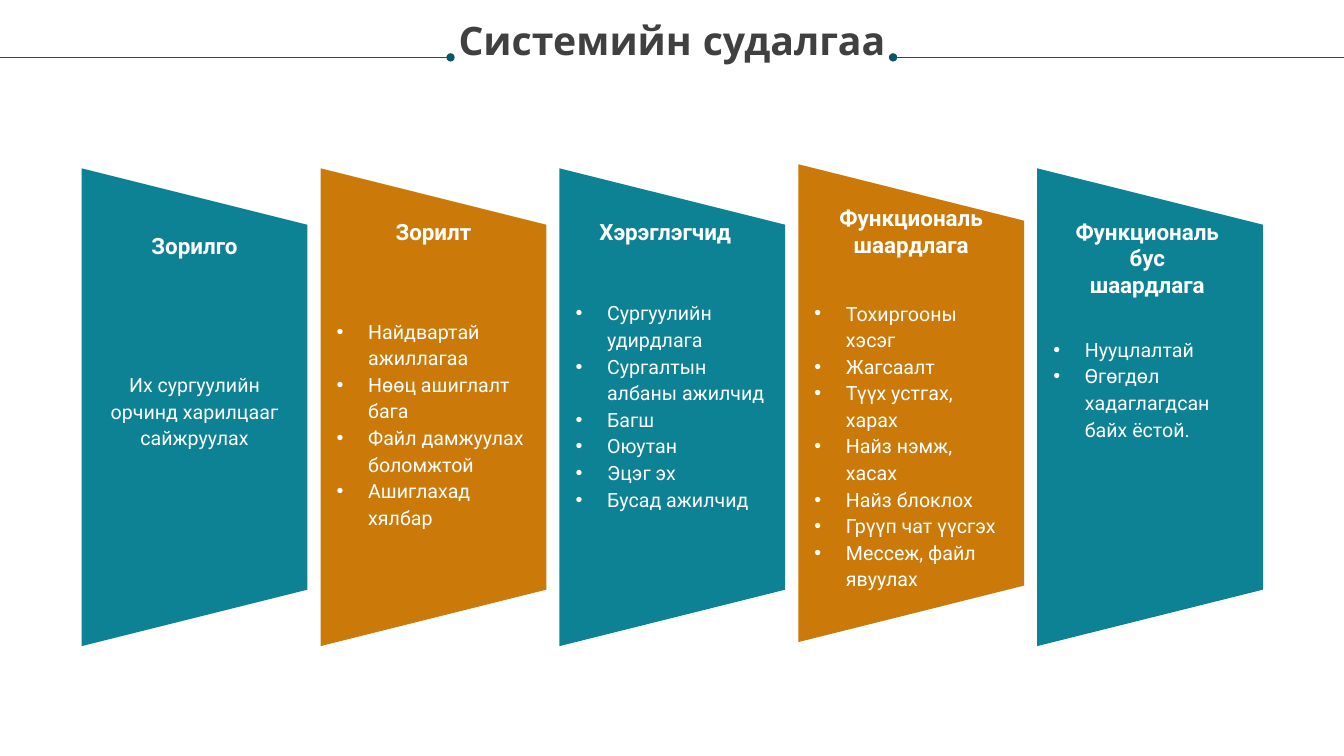
from lxml.etree import SubElement
from pptx import Presentation
from pptx.dml.color import RGBColor
from pptx.enum.shapes import MSO_CONNECTOR as Connector, MSO_SHAPE as Shape
from pptx.enum.text import MSO_ANCHOR as Anchor, MSO_AUTO_SIZE as AutoSize, PP_ALIGN as Align
from pptx.oxml.ns import qn
from pptx.util import Pt

TEAL, ORANGE, DARK_TEAL, WHITE, GREY = "0D8295", "CB7A09", "085764", "FFFFFF", "404040"
PANEL_LENGTH, PANEL_WIDTH, PITCH = 341.28, 161.28, 170.64
FIRST_CENTER = 138.96
HEADING_WIDTH, BODY_WIDTH, INDENT = 108, 138.24, 22.5


def color(hex_text):
    return RGBColor.from_string(hex_text)


def add_text(page, area, lines, font, hex_color, spacing=None, bullets=False):
    """Add a margin-free text box with one paragraph per line."""
    box = page.shapes.add_textbox(*[Pt(length) for length in area])
    frame = box.text_frame
    frame_format = {"word_wrap": True, "auto_size": AutoSize.SHAPE_TO_FIT_TEXT,
                    "vertical_anchor": Anchor.TOP, "margin_left": 0, "margin_right": 0,
                    "margin_top": 0, "margin_bottom": 0}
    for name, value in frame_format.items():
        setattr(frame, name, value)
    for number, line in enumerate(lines):
        para = frame.add_paragraph() if number else frame.paragraphs[0]
        para.alignment = Align.LEFT if bullets else Align.CENTER
        para.line_spacing = spacing
        if bullets:
            props = para._p.get_or_add_pPr()
            props.set("marL", str(Pt(INDENT)))
            props.set("indent", str(-Pt(INDENT)))
            SubElement(props, qn("a:buFont")).set("typeface", "Arial")
            SubElement(props, qn("a:buChar")).set("char", "•")
        span = para.add_run()
        span.text = line
        for name, value in font.items():
            setattr(span.font, name, value)
        span.font.color.rgb = color(hex_color)


deck = Presentation()
deck.slide_width, deck.slide_height = Pt(960), Pt(540)
page = deck.slides.add_slide(deck.slide_layouts[6])

# Title between two lines that run to the slide edges
for inner, edge in ((637.92, 960), (321.84, 0)):
    rule = page.shapes.add_connector(Connector.STRAIGHT, Pt(inner), Pt(41), Pt(edge), Pt(41))
    rule.line.color.rgb = color(DARK_TEAL)
    rule.line.width = Pt(0.5)
    SubElement(rule.line._get_or_add_ln(), qn("a:headEnd")).set("type", "oval")
    SubElement(rule._element.spPr, qn("a:effectLst"))

title_font = {"name": "Quicksand", "size": Pt(28), "bold": True}
add_text(page, (18, 15.12, 924, 61.2), ["Системийн судалгаа"], title_font, GREY, 0.9)

# Heading, heading shift, heading top, panel middle, body top, body height, body lines
columns = [
    ("Зорилго", 0, 165.6, 290.88, 264.24, 36.72,
     ["Их сургуулийн орчинд харилцааг сайжруулах"]),
    ("Зорилт", 0, 155.52, 290.88, 226.08, 132.48,
     ["Найдвартай ажиллагаа", "Нөөц ашиглалт бага", "Файл дамжуулах боломжтой",
      "Ашиглахад хялбар"]),
    ("Хэрэглэгчид", -5, 155.52, 290.88, 213.12, 151.92,
     ["Сургуулийн удирдлага", "Сургалтын албаны ажилчид", "Багш", "Оюутан", "Эцэг эх",
      "Бусад ажилчид"]),
    ("Функциональ шаардлага", 0, 146.16, 288, 213.12, 151.92,
     ["Тохиргооны хэсэг", "Жагсаалт", "Түүх устгах, харах", "Найз нэмж, хасах",
      "Найз блоклох", "Грүүп чат үүсгэх", "Мессеж, файл явуулах"]),
    ("Функциональ бус шаардлага", -2, 155.52, 290.88, 239.04, 74.88,
     ["Нууцлалтай", "Өгөгдөл хадаглагдсан байх ёстой."]),
]
heading_font = {"name": "Roboto", "size": Pt(16), "bold": True}
body_font = {"name": "Roboto", "size": Pt(14)}

for index, (heading, shift, heading_top, middle, body_top, body_height, lines) in enumerate(columns):
    center = FIRST_CENTER + index * PITCH
    panel = page.shapes.add_shape(
        Shape.TRAPEZOID, Pt(center - PANEL_LENGTH / 2), Pt(middle - PANEL_WIDTH / 2),
        Pt(PANEL_LENGTH), Pt(PANEL_WIDTH))
    panel.rotation = 90
    panel.shadow.inherit = False
    panel.fill.solid()
    panel.fill.fore_color.rgb = color(ORANGE if index % 2 else TEAL)
    panel.line.fill.background()

    heading_left = center - HEADING_WIDTH / 2 + shift
    heading_height = 38.88 if " " in heading else 19.44
    add_text(page, (heading_left, heading_top, HEADING_WIDTH, heading_height), [heading],
             heading_font, WHITE)
    add_text(page, (center - BODY_WIDTH / 2, body_top, BODY_WIDTH, body_height), lines,
             body_font, WHITE, Pt(19), bullets=len(lines) > 1)

deck.save("out.pptx")
